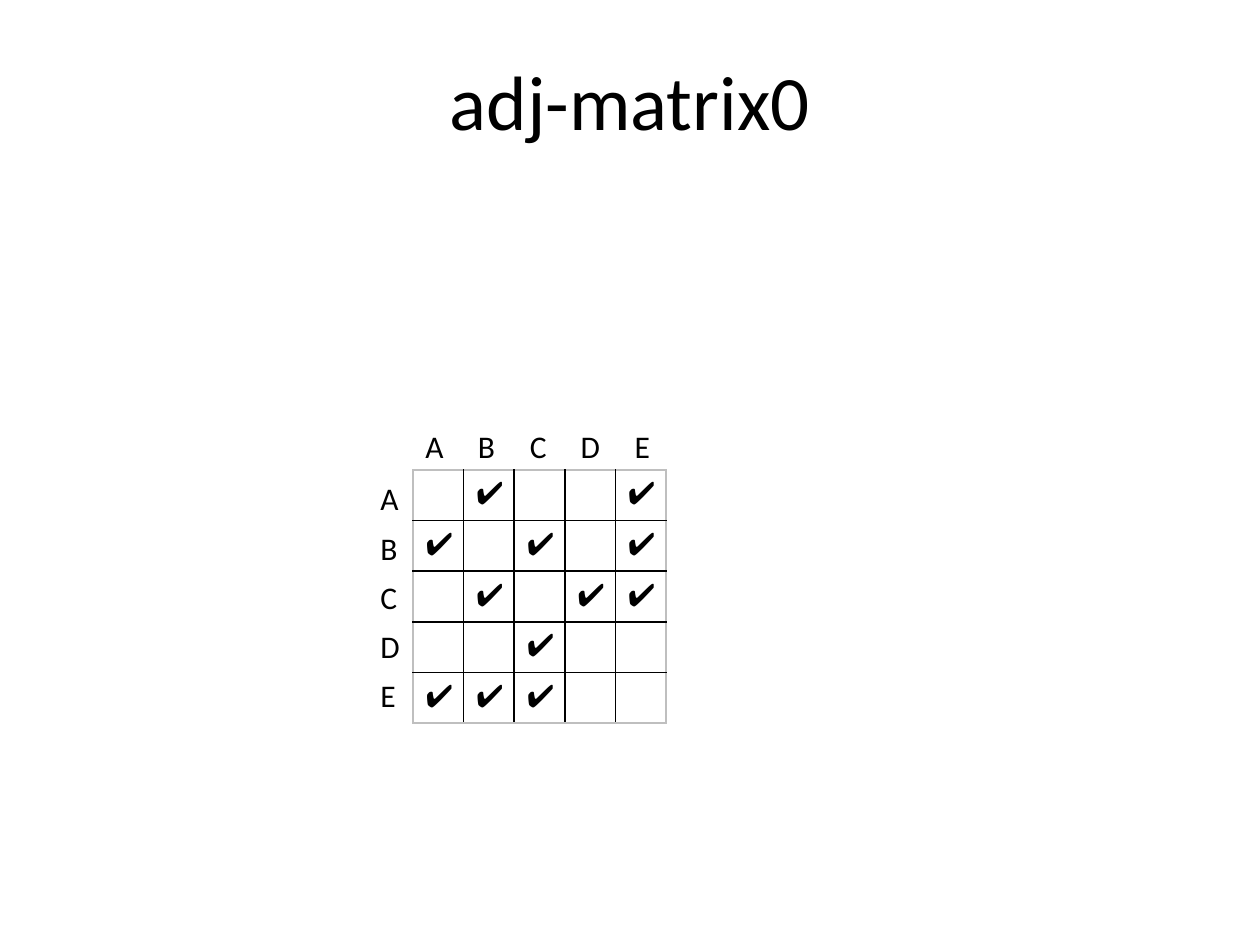
import pptx
import pptx.util
import pptx.dml.color
import pptx.enum.text
import pptx.oxml.ns
import lxml.etree

BLACK = pptx.dml.color.RGBColor(0x00, 0x00, 0x00)
FRAME_GREY = pptx.dml.color.RGBColor(0xBF, 0xBF, 0xBF)
EMU_PER_PIXEL = 914400 // 126
NODES = "ABCDE"
CHECK = "\u2714"
NEIGHBOURS = {"A": "BE", "B": "ACE", "C": "BDE", "D": "C", "E": "ABC"}


def px(pixels):
    return pptx.util.Emu(pixels * EMU_PER_PIXEL)


def add_element(parent, tag, **attributes):
    element = lxml.etree.SubElement(parent, pptx.oxml.ns.qn(tag))
    for key, value in attributes.items():
        element.set(key, str(value))
    return element


class MatrixSlide:
    font = "Calibri"
    size = 18

    def __init__(self, presentation):
        self.slide = presentation.slides.add_slide(presentation.slide_layouts[5])

    def style(self, paragraph, font=None, size=None):
        for run in paragraph.runs:
            run.font.name = font or self.font
            run.font.size = pptx.util.Pt(size or self.size)
            run.font.color.rgb = BLACK

    def title(self, text, left, top, width, height):
        heading = self.slide.shapes.title
        heading.left, heading.top = px(left), px(top)
        heading.width, heading.height = px(width), px(height)
        heading.text_frame.text = text
        heading.text_frame.vertical_anchor = pptx.enum.text.MSO_ANCHOR.MIDDLE
        paragraph = heading.text_frame.paragraphs[0]
        paragraph.alignment = pptx.enum.text.PP_ALIGN.CENTER
        self.style(paragraph, size=44)

    def labels(self, text, left, top, width, height, spacing=1.0, tabs=()):
        box = self.slide.shapes.add_textbox(px(left), px(top), px(width), px(height))
        frame = box.text_frame
        frame.word_wrap = bool(tabs)
        frame.text = text
        for paragraph in frame.paragraphs:
            paragraph.line_spacing = spacing
            self.style(paragraph)
            if tabs:
                stops = add_element(paragraph._p.get_or_add_pPr(), "a:tabLst")
                for stop in tabs:
                    add_element(stops, "a:tab", pos=int(px(stop)), algn="ctr")

    def border(self, cell, side, color):
        line = add_element(cell._tc.get_or_add_tcPr(), "a:" + side, w=int(pptx.util.Pt(1)))
        add_element(add_element(line, "a:solidFill"), "a:srgbClr", val=color)

    def matrix(self, left, top, size):
        count = len(NODES)
        frame = self.slide.shapes.add_table(count, count, px(left), px(top), px(size), px(size))
        table = frame.table
        table.first_row = table.horz_banding = False
        for row, source in enumerate(NODES):
            for column, target in enumerate(NODES):
                cell = table.cell(row, column)
                paragraph = cell.text_frame.paragraphs[0]
                paragraph.font.size = pptx.util.Pt(self.size)
                if target in NEIGHBOURS[source]:
                    paragraph.text = CHECK
                    self.style(paragraph, font="Arial")
                edges = {"lnL": column == 0, "lnR": column == count - 1,
                         "lnT": row == 0, "lnB": row == count - 1}
                for side, outer in edges.items():
                    self.border(cell, side, FRAME_GREY if outer else BLACK)
                cell.fill.background()


presentation = pptx.Presentation()
presentation.slide_width = pptx.util.Inches(10)
presentation.slide_height = pptx.util.Inches(7.5)

adjacency = MatrixSlide(presentation)
adjacency.labels("\n".join(NODES), 368, 462, 45, 261, spacing=1.3)
adjacency.labels("\t".join(NODES), 413, 421, 258, 50,
                 tabs=[9 + 52 * step for step in range(1, len(NODES))])
adjacency.matrix(413, 470, 253)
adjacency.title("adj-matrix0", 63, 21, 1134, 158)

presentation.save("out.pptx")
